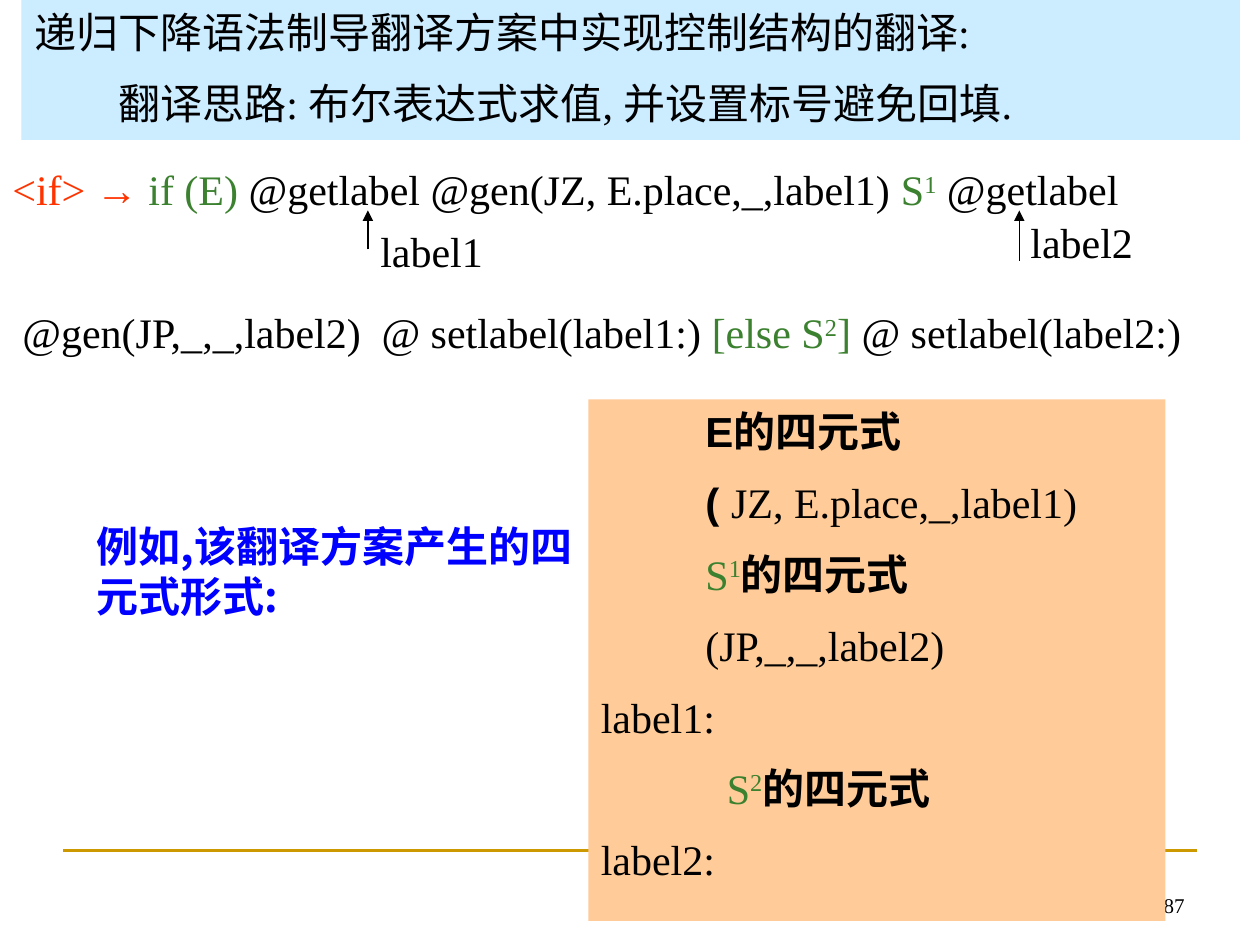
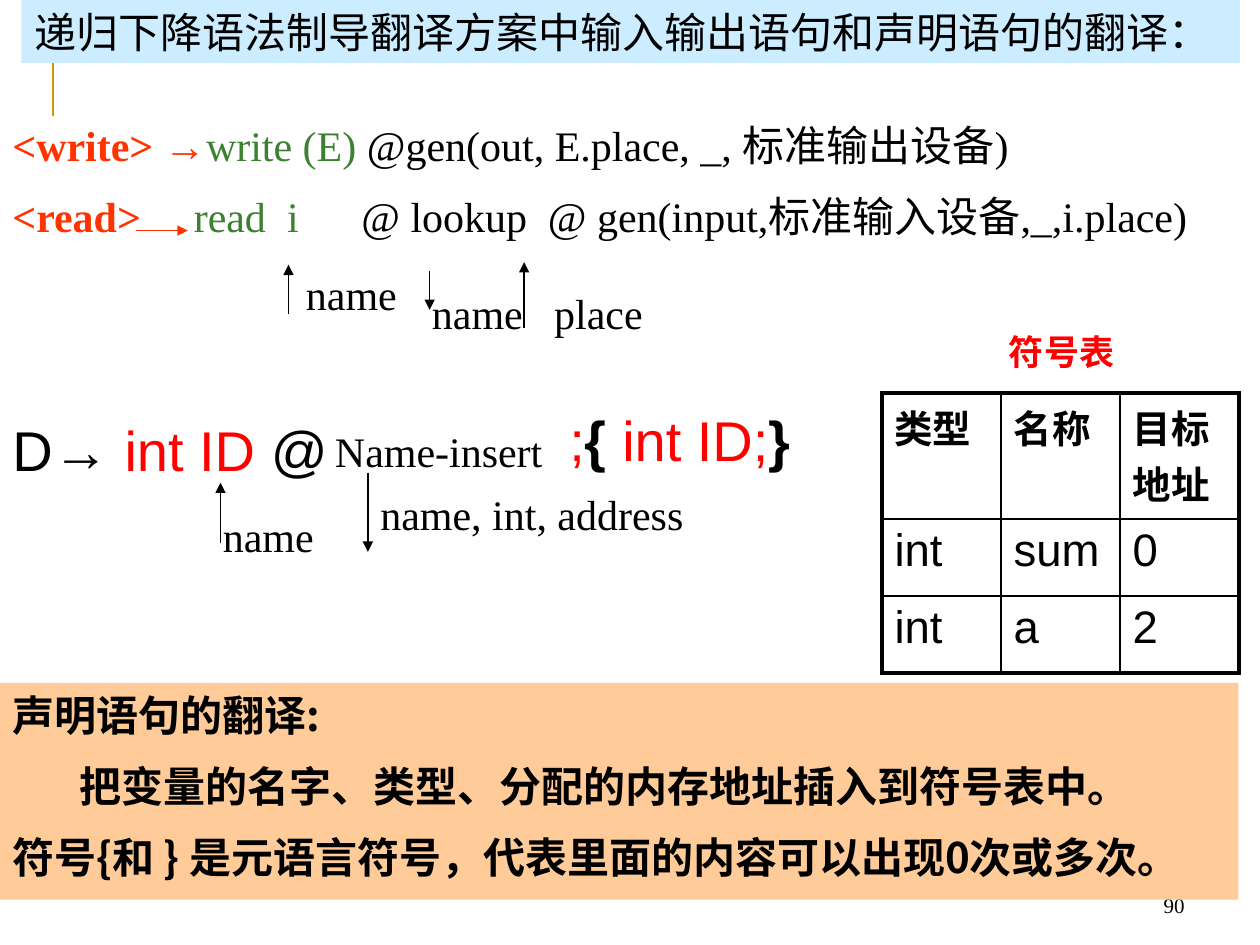
"""Build two slides on translating control structures, input/output and declarations."""
from lxml import etree
from pptx import Presentation
from pptx.dml.color import RGBColor as RGB
from pptx.enum.shapes import MSO_CONNECTOR as CONN, MSO_SHAPE as SHAPE
from pptx.enum.text import MSO_ANCHOR as ANCHOR, MSO_AUTO_SIZE as AUTO, PP_ALIGN as ALIGN
from pptx.oxml.ns import qn
from pptx.util import Inches, Pt

C = {"black": "000000", "gold": "CC9900", "sky": "CCECFF", "peach": "FFCC99",
     "orange": "FF3300", "green": "3B812F", "red": "FF0000", "blue": "0000FF"}
SERIF, SANS, CJK = "Times New Roman", "Arial", "Noto Sans CJK SC"
GREEN, RED, BLACK = {"color": "green"}, {"color": "red"}, {"color": "black"}
ORANGE, BOLD = {"color": "orange"}, {"bold": True}
SUP = {"color": "green", "sup": True}
HEAD = {"color": "orange", "bold": True}
STRONG = {"name": SANS, "bold": True}


def write(sp, paras, tabs=(), indents=(), gap=None, exact=True, align=ALIGN.LEFT, **base):
    tf = sp.text_frame
    tf.word_wrap = True
    for i, runs in enumerate(paras):
        p = tf.add_paragraph() if i else tf.paragraphs[0]
        pPr = p._p.get_or_add_pPr()
        if tabs:
            tab_list = etree.SubElement(pPr, qn("a:tabLst"))
            for stop in tabs:
                etree.SubElement(tab_list, qn("a:tab"), pos=str(Inches(stop)), algn="l")
        if indents:
            pPr.set("marL", str(Inches(indents[i])))
            pPr.set("indent", "0")
        size = base.get("size", 24)
        p.alignment = align
        p.space_before = Pt((gap or size / 2) if i else 0)
        if exact:
            p.line_spacing = Pt(size * 1.2)
        for run in [runs] if isinstance(runs, str) else runs:
            text, own = (run, {}) if isinstance(run, str) else run
            fmt = {"size": 24, "name": SERIF, "bold": False, "color": "black", **base, **own}
            r = p.add_run()
            r.text = text
            r.font.color.rgb = RGB.from_string(C[fmt["color"]])
            fmt["size"] = Pt(fmt["size"])
            for key in ("size", "name", "bold"):
                setattr(r.font, key, fmt[key])
            rPr = r._r.get_or_add_rPr()
            etree.SubElement(rPr, qn("a:ea"), typeface=CJK)
            if fmt.get("sup"):
                rPr.set("baseline", "30000")


def line(s, x1, y1, x2, y2, color="black", width=0.75, arrow=True):
    ln = s.shapes.add_connector(CONN.STRAIGHT, *map(Inches, (x1, y1, x2, y2)))
    ln.line.color.rgb = RGB.from_string(C[color])
    ln.line.width = Pt(width)
    if arrow:
        etree.SubElement(ln.line._get_or_add_ln(), qn("a:tailEnd"), type="triangle")
    etree.SubElement(ln._element.spPr, qn("a:effectLst"))


prs = Presentation()
prs.slide_width, prs.slide_height = Inches(10), Inches(7.5)

pages = [
    ("87", 1.11, ["递归下降语法制导翻译方案中实现控制结构的翻译:",
                  "翻译思路: 布尔表达式求值, 并设置标号避免回填."], (0, 0.67)),
    ("90", 0.5, ["递归下降语法制导翻译方案中输入输出语句和声明语句的翻译："], (0,)),
]
for number, height, heading, indents in pages:
    s = prs.slides.add_slide(prs.slide_layouts[5])
    sp = s.shapes.title
    sp.left, sp.top, sp.width, sp.height = map(Inches, (0.17, 0, 9.67, height))
    sp.fill.solid()
    sp.fill.fore_color.rgb = RGB.from_string(C["sky"])
    sp.text_frame.vertical_anchor = ANCHOR.TOP
    sp.text_frame.auto_size = AUTO.NONE
    write(sp, heading, indents=indents)
    sp = s.shapes.add_textbox(*map(Inches, (7.17, 6.83, 2.33, 0.5)))
    sp.text_frame.vertical_anchor = ANCHOR.BOTTOM
    write(sp, [number], size=12, align=ALIGN.RIGHT)
control, declare = prs.slides

line(control, 0.5, 6.75, 9.5, 6.75, "gold", 1.5, False)
fb = declare.shapes.build_freeform(Inches(0.42), Inches(0.92))
fb.add_line_segments([(Inches(0.42), Inches(0.25)), (Inches(9.42), Inches(0.25))], close=False)
bracket = fb.convert_to_shape()
bracket.shadow.inherit = False
bracket.fill.background()
bracket.line.color.rgb = RGB.from_string(C["gold"])
bracket.line.width = Pt(1.5)
declare.shapes._spTree.insert(2, bracket._element)

panels = [
    (control, (4.67, 3.17, 4.58, 4.14), [
        [("E的四元式", STRONG)],
        [("( ", STRONG), "JZ, E.place,_,label1)"],
        [("S", GREEN), ("1", SUP), ("的四元式", STRONG)],
        "(JP,_,_,label2)",
        "label1:",
        [("S", GREEN), ("2", SUP), ("的四元式", STRONG)],
        "label2:"], {"indents": (0.83, 0.83, 0.83, 0.83, 0, 1, 0)}),
    (declare, (0, 5.42, 9.83, 1.72), [
        "声明语句的翻译:",
        "把变量的名字、类型、分配的内存地址插入到符号表中。",
        "符号{和 } 是元语言符号，代表里面的内容可以出现0次或多次。"],
     {"indents": (0, 0.53, 0), "name": CJK, "bold": True}),
]
for s, box, paras, fmt in panels:
    sp = s.shapes.add_shape(SHAPE.RECTANGLE, *map(Inches, box))
    sp.shadow.inherit = False
    sp.fill.solid()
    sp.fill.fore_color.rgb = RGB.from_string(C["peach"])
    sp.line.fill.background()
    sp.text_frame.vertical_anchor = ANCHOR.TOP
    write(sp, paras, **fmt)

texts = [
    (control, (0, 1.25, 10, 1.72), [
        [("<if> → ", ORANGE), ("if (E)", GREEN), " @getlabel @gen(JZ, E.place,_,label1)",
         (" S", GREEN), ("1", SUP), " @getlabel"],
        ["\t@gen(JP,_,_,label2)\t@ setlabel(label1:) ", ("[else S", GREEN), ("2", SUP),
         ("]", GREEN), " @ setlabel(label2:)"]], {"tabs": (0.08, 2.93), "gap": 53}),
    (control, (2.92, 1.74, 1.06, 0.5), ["label1"], {}),
    (control, (8.08, 1.67, 1.17, 0.5), ["label2"], {}),
    (control, (0.67, 4.08, 4, 0.9), ["例如,该翻译方案产生的四元式形式:"],
     {"name": CJK, "color": "blue", "bold": True}),
    (declare, (0, 0.9, 10, 1.2), [
        [("<write> ", HEAD), ("→", ORANGE), ("write (E)", GREEN),
         " @gen(out, E.place, _, 标准输出设备)"],
        [("<read>", HEAD), ("\tread\ti", GREEN),
         "\t@ lookup\t@ gen(input,标准输入设备,_,i.place)"]],
     {"tabs": (1.44, 2.18, 2.77, 4.25)}),
    (declare, (2.33, 2.08, 0.97, 0.5), ["name"], {}),
    (declare, (3.33, 2.23, 2.15, 0.51), ["name\tplace"], {"tabs": (0.97,)}),
    (declare, (1.67, 4, 1.18, 0.5), ["name"], {}),
    (declare, (2.56, 3.33, 2.52, 0.5), ["Name-insert"], {}),
    (declare, (2.92, 3.83, 2.99, 0.5), ["name, int, address"], {}),
    (declare, (0, 3.25, 3.08, 0.63), [["D→ ", ("int ID", RED), " @"]],
     {"size": 32, "name": SANS}),
    (declare, (4.42, 3.17, 2.5, 0.63), [[(";", RED), ("{ ", BOLD), ("int ID;", RED), ("}", BOLD)]],
     {"size": 32, "name": SANS}),
    (declare, (7.91, 2.57, 1.5, 0.43), ["符号表"],
     {"size": 20, "name": SANS, "color": "red", "bold": True}),
]
for s, box, paras, fmt in texts:
    write(s.shapes.add_textbox(*map(Inches, box)), paras, **fmt)

arrows = [
    (control, 2.92, 1.98, 2.92, 1.67), (control, 8.09, 2.07, 8.09, 1.67),
    (declare, 2.29, 2.49, 2.29, 2.1), (declare, 3.41, 2.15, 3.41, 2.46),
    (declare, 4.16, 2.6, 4.16, 2.08), (declare, 1.08, 1.83, 1.49, 1.83, "orange"),
    (declare, 1.75, 4.31, 1.75, 3.83), (declare, 2.92, 3.75, 2.92, 4.38),
]
for arrow in arrows:
    line(*arrow)

symbols = [("类型", "名称", "目标地址"), ("int", "sum", "0"), ("int", "a", "2")]
tbl = declare.shapes.add_table(3, 3, *map(Inches, (7, 3.12, 2.83, 2.22))).table
for col in tbl.columns:
    col.width = Inches(0.945)
for i, (row, height) in enumerate(zip(symbols, (1, 0.61, 0.61))):
    tbl.rows[i].height = Inches(height)
    for j, text in enumerate(row):
        cell = tbl.cell(i, j)
        fmt = {"size": 26, "name": SANS} if i else {"size": 22, "bold": True}
        write(cell, [text], exact=False, **fmt)
        tcPr = cell._tc.get_or_add_tcPr()
        for side, outer in (("L", j == 0), ("R", j == 2), ("T", i == 0), ("B", i == 2)):
            ln = etree.SubElement(tcPr, qn("a:ln" + side), w=str(Pt(2.25 if outer else 1)))
            fill = etree.SubElement(ln, qn("a:solidFill"))
            etree.SubElement(fill, qn("a:srgbClr"), val=C["black"])
        cell.fill.background()

prs.save("out.pptx")
